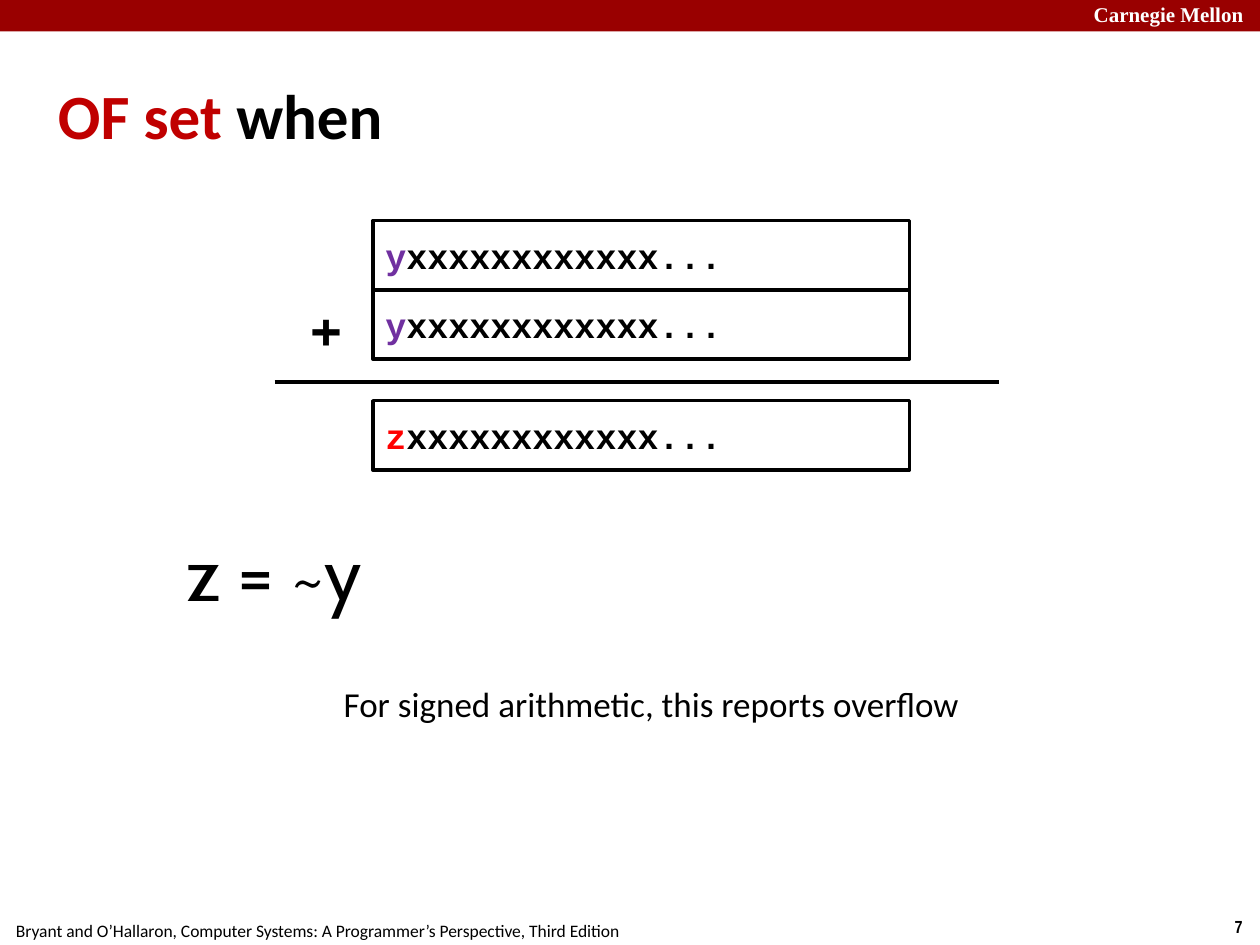
"""Build the slide that shows when the overflow flag is set."""
from dataclasses import dataclass

from lxml import etree
from pptx import Presentation
from pptx.dml.color import RGBColor
from pptx.enum.shapes import MSO_CONNECTOR, MSO_SHAPE
from pptx.enum.text import MSO_ANCHOR, MSO_AUTO_SIZE, PP_ALIGN
from pptx.oxml.ns import qn
from pptx.shapes.autoshape import Shape
from pptx.slide import Slide
from pptx.text.text import TextFrame
from pptx.util import Inches, Pt

LEFT, CENTER = PP_ALIGN.LEFT, PP_ALIGN.CENTER
TOP, MIDDLE = MSO_ANCHOR.TOP, MSO_ANCHOR.MIDDLE
NO_FIT = MSO_AUTO_SIZE.NONE
RECTANGLE, STRAIGHT = MSO_SHAPE.RECTANGLE, MSO_CONNECTOR.STRAIGHT


@dataclass(frozen=True)
class Theme:
    """Colours, fonts and sizes of the deck."""
    black: str = "000000"
    white: str = "FFFFFF"
    banner: str = "990000"
    title_accent: str = "C00000"
    operand: str = "7030A0"
    result: str = "FF0000"
    body_font: str = "Calibri"
    code_font: str = "Courier New"
    math_font: str = "Cabin"
    banner_font: str = "Times New Roman"
    number_font: str = "Arial Narrow"
    small: int = 10
    label: int = 12
    body: int = 20
    title: int = 36
    math: int = 42
    line: int = 2


THEME = Theme()


@dataclass(frozen=True)
class Span:
    """A stretch of text in one colour."""
    text: str
    color: str = THEME.black


@dataclass(frozen=True)
class Style:
    """Format of a whole text."""
    font: str
    size: int
    bold: bool = False
    align: PP_ALIGN = CENTER
    anchor: MSO_ANCHOR = TOP
    wrap: bool = False
    inset: tuple[float, float] = (0.1, 0.05)


@dataclass(frozen=True)
class Label:
    """A text box with its place and style."""
    span: Span
    place: tuple[float, float, float, float]
    style: Style


@dataclass(frozen=True)
class Register:
    """A boxed bit pattern with a coloured sign bit."""
    sign: str
    color: str
    top: float


TIGHT = (0.04, 0.04)
TITLE = Style(THEME.body_font, THEME.title, True, LEFT, MIDDLE, True, TIGHT)
BANNER = Style(THEME.banner_font, THEME.label, True, LEFT, TOP, True, TIGHT)
CODE = Style(THEME.code_font, THEME.body, True, LEFT, MIDDLE, True)
MATH = Style(THEME.math_font, THEME.math)
BODY = Style(THEME.body_font, THEME.body)
FOOTER = Style(THEME.body_font, THEME.small)
NUMBER = Style(THEME.number_font, THEME.small, True)

REGISTER_LEFT, REGISTER_WIDTH, REGISTER_HEIGHT = 2.96, 4.26, 0.55
REGISTERS = [
    Register("y", THEME.operand, 1.75),
    Register("y", THEME.operand, 1.75 + REGISTER_HEIGHT),
    Register("z", THEME.result, 3.18),
]
LABELS = [
    Label(Span("7"), (9.66, 7.22, 0.34, 0.27), NUMBER),
    Label(Span("Bryant and O’Hallaron, Computer Systems: A Programmer’s Perspective, Third Edition"),
          (-0.02, 7.25, 5.08, 0.27), FOOTER),
    Label(Span("Carnegie Mellon", THEME.white), (8.64, -0.03, 1.44, 0.28), BANNER),
    Label(Span("+"), (2.34, 2.17, 0.5, 0.81), MATH),
    Label(Span("z = ~y"), (1.24, 4.14, 1.87, 0.81), MATH),
    Label(Span("For signed arithmetic, this reports overflow"), (2.6, 5.37, 5.14, 0.44), BODY),
]


def write(frame: TextFrame, spans: list[Span], style: Style) -> None:
    """Fill a text frame with one paragraph of coloured spans."""
    across, down = map(Inches, style.inset)
    frame_format = {
        "auto_size": NO_FIT, "word_wrap": style.wrap, "vertical_anchor": style.anchor,
        "margin_left": across, "margin_right": across,
        "margin_top": down, "margin_bottom": down,
    }
    for name, value in frame_format.items():
        setattr(frame, name, value)
    para = frame.paragraphs[0]
    para.alignment = style.align
    font_format = {"name": style.font, "size": Pt(style.size), "bold": style.bold}
    for span in spans:
        run = para.add_run()
        run.text = span.text
        for name, value in font_format.items():
            setattr(run.font, name, value)
        run.font.color.rgb = RGBColor.from_string(span.color)


def add_title(slide: Slide, spans: list[Span]) -> None:
    """Place and fill the title placeholder."""
    title = slide.shapes.title
    place = {"left": 0.42, "top": 0.28, "width": 9.17, "height": 1.25}
    for name, value in place.items():
        setattr(title, name, Inches(value))
    write(title.text_frame, spans, TITLE)


def add_box(slide: Slide, left: float, top: float, width: float, height: float) -> Shape:
    """Add a plain rectangle without shadow."""
    box = slide.shapes.add_shape(RECTANGLE, *map(Inches, (left, top, width, height)))
    box.shadow.inherit = False
    return box


def add_banner(slide: Slide) -> None:
    """Add the coloured band along the top."""
    band = add_box(slide, 0, 0, 10.01, 0.25)
    band.fill.solid()
    band.fill.fore_color.rgb = RGBColor.from_string(THEME.banner)
    band.line.fill.background()


def add_register(slide: Slide, register: Register) -> None:
    """Add an outlined bit pattern."""
    box = add_box(slide, REGISTER_LEFT, register.top, REGISTER_WIDTH, REGISTER_HEIGHT)
    box.fill.background()
    box.line.color.rgb = RGBColor.from_string(THEME.black)
    box.line.width = Pt(THEME.line)
    write(box.text_frame, [Span(register.sign, register.color), Span("xxxxxxxxxxxx...")], CODE)


def add_sum_line(slide: Slide) -> None:
    """Add the rule between the operands and the result."""
    rule = slide.shapes.add_connector(STRAIGHT, *map(Inches, (2.18, 3.03, 7.93, 3.03)))
    rule.line.color.rgb = RGBColor.from_string(THEME.black)
    rule.line.width = Pt(THEME.line)
    etree.SubElement(rule.element.spPr, qn("a:effectLst"))


def add_label(slide: Slide, label: Label) -> None:
    """Add a text box."""
    box = slide.shapes.add_textbox(*map(Inches, label.place))
    write(box.text_frame, [label.span], label.style)


def main() -> None:
    """Build and save the deck."""
    deck = Presentation()
    deck.slide_width, deck.slide_height = Inches(10), Inches(7.5)
    slide = deck.slides.add_slide(deck.slide_layouts.get_by_name("Title Only"))
    add_banner(slide)
    add_title(slide, [Span("OF set ", THEME.title_accent), Span("when")])
    for register in REGISTERS:
        add_register(slide, register)
    add_sum_line(slide)
    for label in LABELS:
        add_label(slide, label)
    deck.save("out.pptx")


if __name__ == "__main__":
    main()
